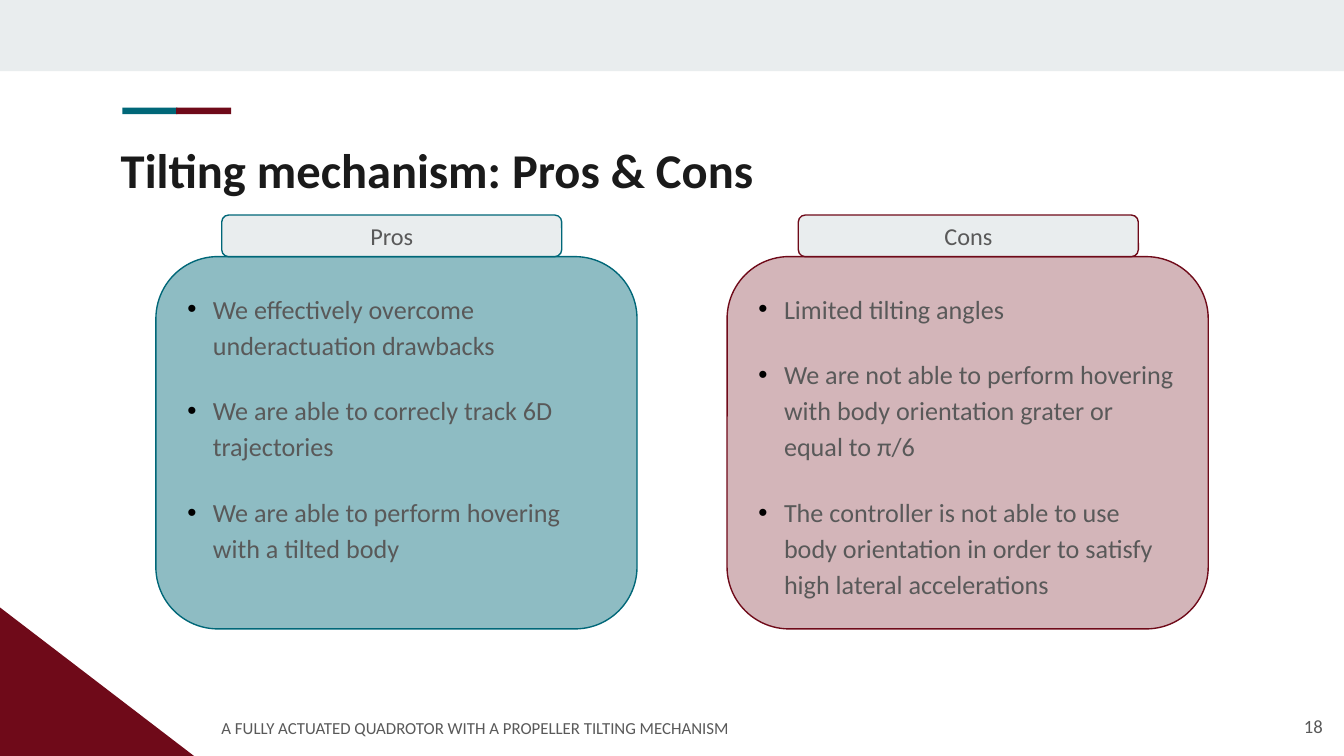
"""Build the slide on the pros and cons of the tilting mechanism."""
import pptx
import pptx.util
import pptx.dml.color
import pptx.enum.shapes
import pptx.enum.text
import pptx.oxml
import pptx.oxml.ns

Inches, Pt = pptx.util.Inches, pptx.util.Pt
RGB = pptx.dml.color.RGBColor.from_string
SHAPE = pptx.enum.shapes.MSO_SHAPE
ALIGN = pptx.enum.text.PP_ALIGN
ANCHOR = pptx.enum.text.MSO_ANCHOR

THEME = {
    "font": "Calibri",
    "colors": {"band": "E9EDEE", "teal": "006778", "pale_teal": "8EBCC3", "maroon": "6F0A19",
               "ink": "1A1A1A", "gray": "595959", "bullet": "000000"},
    "sizes": {"title": 26, "body": 14, "label": 13, "number": 10, "footer": 9},
}
COLORS = THEME["colors"]


def draw(kind, box, fill, line=None):
    sp = s.shapes.add_shape(kind, *map(Inches, box))
    sp.shadow.inherit = False
    sp.fill.solid()
    sp.fill.fore_color.rgb = RGB(COLORS[fill])
    if line:
        sp.line.color.rgb = RGB(COLORS[line])
        sp.line.width = Pt(0.75)
    else:
        sp.line.fill.background()
    return sp


def write(sp, lines, size, color="gray", bold=False, anchor=ANCHOR.TOP, bullet=False, **layout):
    tf = sp.text_frame
    frame = {"word_wrap": True, "vertical_anchor": anchor}
    frame.update({f"margin_{side}": Inches(0.1) for side in ("left", "top", "right", "bottom")})
    for name, value in frame.items():
        setattr(tf, name, value)
    for i, line in enumerate(lines):
        p = tf.paragraphs[0] if i == 0 else tf.add_paragraph()
        for name, value in ({"alignment": ALIGN.LEFT} | layout).items():
            setattr(p, name, value)
        if bullet:
            pPr = p._p.get_or_add_pPr()
            pPr.set("marL", str(Inches(0.19)))
            pPr.set("indent", str(-Inches(0.19)))
            ns = pptx.oxml.ns.nsdecls("a")
            for xml in (f'<a:buClr {ns}><a:srgbClr val="{COLORS["bullet"]}"/></a:buClr>',
                        f'<a:buFont {ns} typeface="Arial"/>', f'<a:buChar {ns} char="•"/>'):
                pPr.append(pptx.oxml.parse_xml(xml))
        r = p.add_run()
        r.text = line
        font = {"name": THEME["font"], "size": Pt(THEME["sizes"][size]), "bold": bold}
        for name, value in font.items():
            setattr(r.font, name, value)
        r.font.color.rgb = RGB(COLORS[color])


prs = pptx.Presentation()
prs.slide_width, prs.slide_height = Inches(10), Inches(10) * 9 // 16
s = prs.slides.add_slide(prs.slide_layouts[6])

draw(SHAPE.RECTANGLE, (0, 0, 10, 0.53), "band")
draw(SHAPE.RIGHT_TRIANGLE, (0, 4.52, 1.45, 1.11), "maroon")
for x, color in ((0.91, "teal"), (1.31, "maroon")):
    draw(SHAPE.RECTANGLE, (x, 0.8, 0.41, 0.05), color)

spaced = {"line_spacing": 1.15, "space_after": Pt(16)}
texts = [
    ((0.8, 0.94, 8.41, 0.59), "Tilting mechanism: Pros & Cons", "title",
     {"color": "ink", "bold": True}),
    ((9.34, 5.19, 0.6, 0.43), "18", "number",
     {"alignment": ALIGN.RIGHT, "anchor": ANCHOR.MIDDLE}),
    ((1.55, 5.23, 6.4, 0.37), "A FULLY ACTUATED QUADROTOR WITH A PROPELLER TILTING MECHANISM",
     "footer", spaced),
]
for box, text, size, style in texts:
    write(s.shapes.add_textbox(*map(Inches, box)), [text], size, **style)

cards = [
    ("Pros", 1.16, 1.65, "pale_teal", "teal", None, [
        "We effectively overcome underactuation drawbacks",
        "We are able to correcly track 6D trajectories",
        "We are able to perform hovering with a tilted body"]),
    ("Cons", 5.41, 5.94, "maroon", "maroon", 30, [
        "Limited tilting angles",
        "We are not able to perform hovering with body orientation grater or equal to π/6",
        "The controller is not able to use body orientation in order to satisfy "
        "high lateral accelerations"]),
]
for label, card_x, label_x, fill, line, opacity, points in cards:
    card = draw(SHAPE.ROUNDED_RECTANGLE, (card_x, 1.91, 3.58, 2.77), fill, line)
    if opacity:
        clr = card._element.spPr.find(pptx.oxml.ns.qn("a:solidFill"))[0]
        clr.append(pptx.oxml.parse_xml(
            f'<a:alpha {pptx.oxml.ns.nsdecls("a")} val="{opacity * 1000}"/>'))
    write(card, points, "body", bullet=True, **spaced)
    tab = draw(SHAPE.ROUNDED_RECTANGLE, (label_x, 1.6, 2.53, 0.31), "band", line)
    write(tab, [label], "label", alignment=ALIGN.CENTER, anchor=ANCHOR.MIDDLE)

prs.save("out.pptx")
